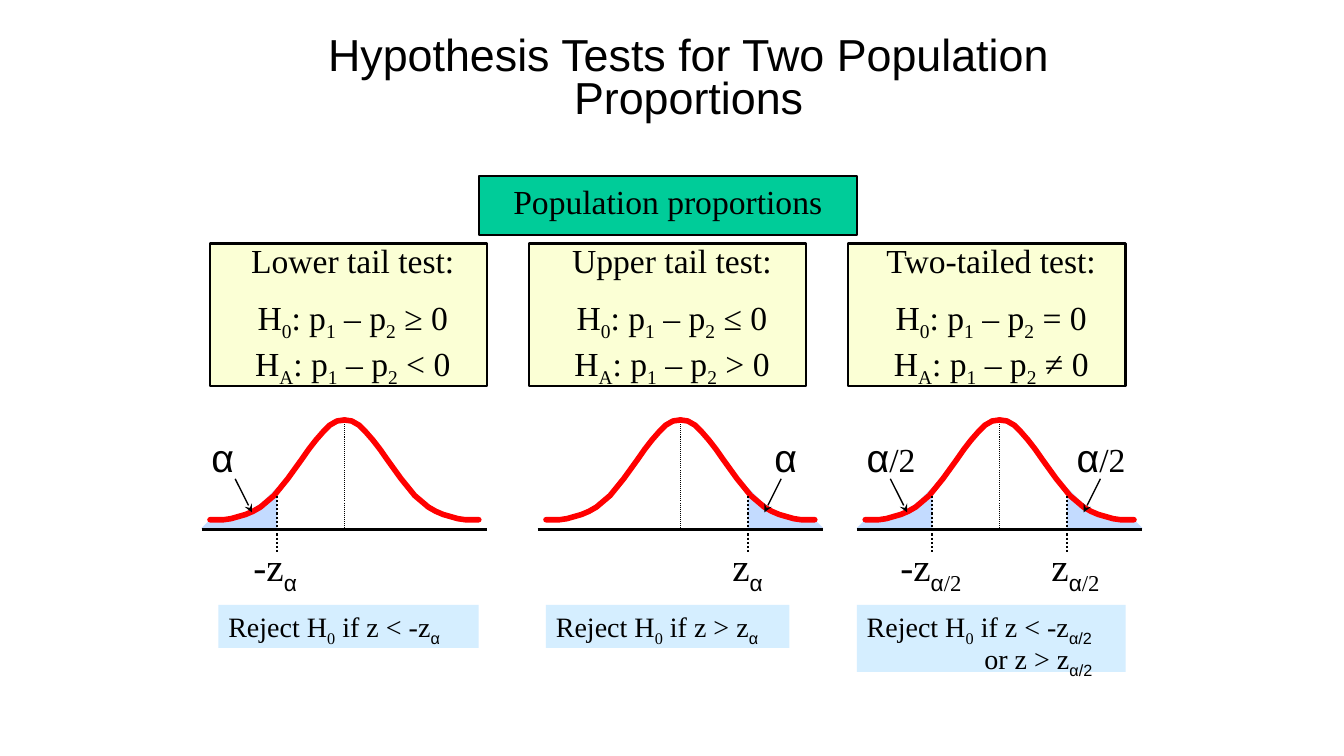
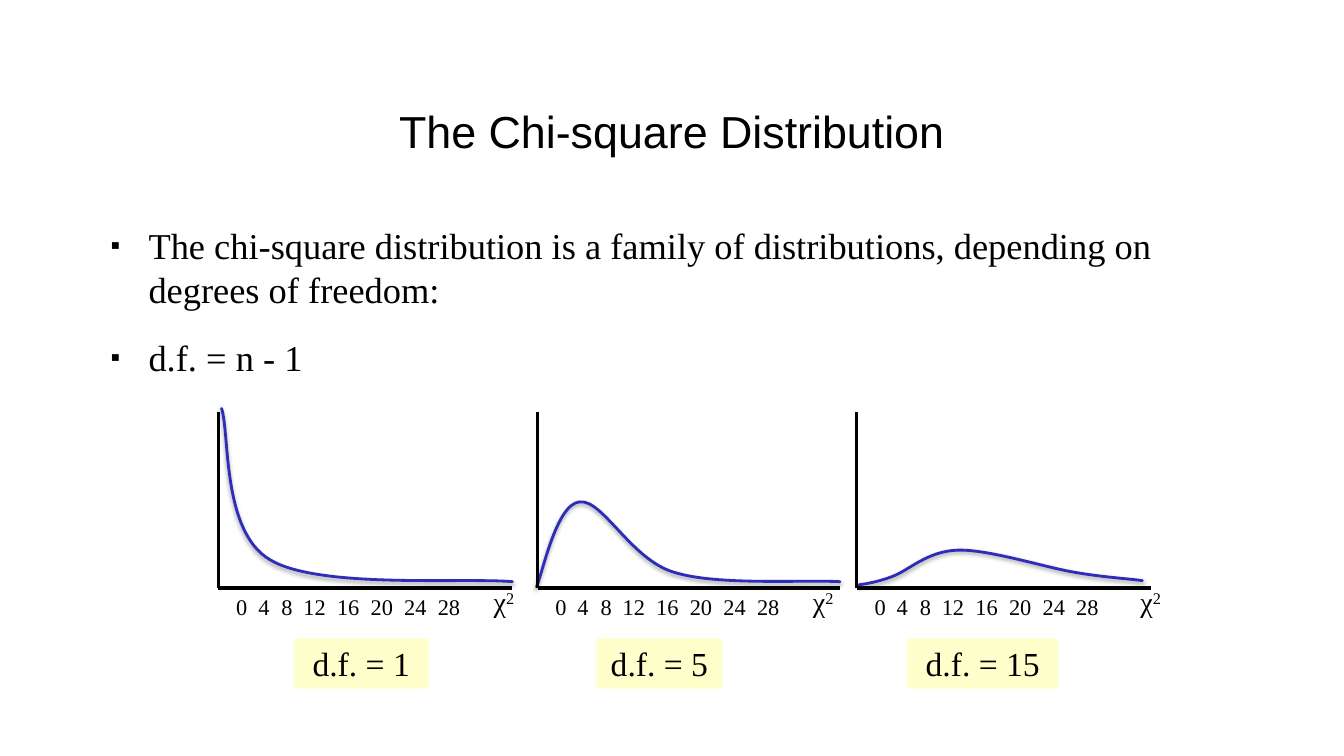
from dataclasses import dataclass

from lxml.etree import SubElement
from pptx import Presentation
from pptx.dml.color import RGBColor
from pptx.enum.dml import MSO_LINE
from pptx.enum.shapes import MSO_CONNECTOR, MSO_SHAPE
from pptx.enum.text import MSO_ANCHOR, PP_ALIGN
from pptx.oxml.ns import qn
from pptx.util import Pt

SCALE = 9525  # EMU in one px
WIDE, HIGH = 1280, 720


@dataclass(frozen=True)
class Theme:
    ink: str = "000000"
    green: str = "00CC99"
    cream: str = "FBFFD5"
    yellow: str = "FFFFCC"
    sky: str = "D5EEFF"
    tail: str = "C3DBFF"
    red: str = "FF0000"
    blue: str = "2D2DB9"
    sans: str = "Arial"
    serif: str = "Times New Roman"
    title: int = 32
    symbol: int = 28
    body: int = 26
    label: int = 24
    note: int = 20
    tick: int = 16


T = Theme()

# Bell outline: distance from the centre, depth below the peak
BELL = [(128, 95), (115, 95), (108, 94), (101, 92), (94, 90), (87, 87),
        (80, 83), (67, 72), (54, 56), (41, 38), (34, 28), (27, 19),
        (20, 11), (14, 5), (7, 1), (0, 0)]
TAIL = [(136, 103), (130, 97), (105, 92), (93, 88), (79, 79), (64, 64),
        (64, 104), (136, 104)]

# Test name, signs in H0 and HA, tail sides, suffix of alpha
TESTS = [("Lower tail test:", "≥", "<", [-1], ""),
         ("Upper tail test:", "≤", ">", [1], ""),
         ("Two-tailed test:", "=", "≠", [-1, 1], "/2")]
CENTERS = [328, 648, 952]
RULES = [(208, 248, 41, ["Reject H|_0| if z < -z|_α"]),
         (520, 232, 41, ["Reject H|_0| if z > z|_α"]),
         (816, 256, 64, ["Reject H|_0| if z < -z|_α/2", "or z > z|_α/2"])]

# Left edge, axis length, place of the symbol, df box (offset, width), df, curve
PLOTS = [
    (208, 280, 248, (72, 128), 1,
     [(3, -171), (11, -147), (3, -54), (49, -27),
      (95, 1), (232, -10), (280, -6)]),
    (512, 288, 248, (56, 120), 5,
     [(-1, -1), (5, -15), (18, -80), (40, -82), (62, -85), (89, -27),
      (130, -15), (171, -2), (255, -8), (288, -6)]),
    (816, 280, 256, (48, 144), 15,
     [(2, -3), (8, -4), (18, -5), (34, -11), (50, -17), (67, -35), (96, -36),
      (125, -37), (178, -20), (207, -15), (236, -10), (258, -9), (272, -7)]),
]
TICKS = [0, 4, 8, 12, 16, 20, 24, 28]
STOPS = [21, 43, 64, 96, 128, 160, 192]


def px(*nums):
    return [round(n * SCALE) for n in nums]


def paint(shape, fill=None, line=None, width=1.5):
    shape.shadow.inherit = False
    if fill:
        shape.fill.solid()
        shape.fill.fore_color.rgb = RGBColor.from_string(fill)
    else:
        shape.fill.background()
    if line:
        shape.line.color.rgb = RGBColor.from_string(line)
        shape.line.width = Pt(width)
    else:
        shape.line.fill.background()


def write(shape, lines, size, font=T.serif, align=PP_ALIGN.LEFT,
          anchor=MSO_ANCHOR.TOP):
    """Split each line at |; a piece led by _ is lowered, by ^ raised."""
    frame = shape.text_frame
    frame.word_wrap = True
    frame.vertical_anchor = anchor
    for i, line in enumerate(lines):
        para = frame.add_paragraph() if i else frame.paragraphs[0]
        para.alignment = align
        for piece in line.split("|"):
            run = para.add_run()
            run.text = piece.lstrip("_^")
            run.font.size = Pt(size)
            run.font.name = T.sans if "α" in piece else font
            run.font.color.rgb = RGBColor.from_string(T.ink)
            shift = {"_": "-25000", "^": "30000"}.get(piece[0])
            if shift:
                run._r.get_or_add_rPr().set("baseline", shift)
    return frame.paragraphs


def text(slide, box, lines, size, **style):
    return write(slide.shapes.add_textbox(*px(*box)), lines, size, **style)


def rect(slide, box, fill, line=None):
    shape = slide.shapes.add_shape(MSO_SHAPE.RECTANGLE, *px(*box))
    paint(shape, fill, line)
    return shape


def rule(slide, start, end, width, dots=False, arrow=False):
    line = slide.shapes.add_connector(MSO_CONNECTOR.STRAIGHT,
                                      *px(*start, *end))
    line.line.color.rgb = RGBColor.from_string(T.ink)
    line.line.width = Pt(width)
    if dots:
        line.line.dash_style = MSO_LINE.ROUND_DOT
    if arrow:
        SubElement(line.line._get_or_add_ln(), qn("a:tailEnd"), type="stealth")
    SubElement(line._element.spPr, qn("a:effectLst"))


def trace(slide, x, y, points, closed=False, **look):
    spots = [px(x + dx, y + dy) for dx, dy in points]
    pen = slide.shapes.build_freeform(*spots[0], scale=1.0)
    pen.add_line_segments(spots[1:], close=closed)
    shape = pen.convert_to_shape()
    paint(shape, **look)
    if not closed:
        ln = shape.line._get_or_add_ln()
        ln.set("cap", "rnd")
        SubElement(ln, qn("a:round"))
    return shape


def bend(shape):
    """Turn every three line segments into one cubic curve."""
    lines = list(shape._element.iter(qn("a:lnTo")))
    for i in range(0, len(lines), 3):
        cubic = SubElement(lines[i].getparent(), qn("a:cubicBezTo"))
        for line in lines[i:i + 3]:
            cubic.append(line[0])
            line.getparent().remove(line)
    return shape


def title(slide, box, words):
    return text(slide, box, [words], T.title, font=T.sans,
                align=PP_ALIGN.CENTER, anchor=MSO_ANCHOR.MIDDLE)[0]


def claim(slide, x, y, name, null, other):
    """Box with the two hypotheses of a test."""
    rect(slide, (x, y, 264, 136), T.cream, T.ink)
    lines = [name] + [f"H|_{sub}|: p|_1| – p|_2| {sign} 0"
                      for sub, sign in (("0", null), ("A", other))]
    paras = text(slide, (x - 8, y - 8, 288, 142), lines, T.label,
                 align=PP_ALIGN.CENTER)
    paras[1].space_before = Pt(11.5)


def bell(slide, x, y, sides, half):
    """Normal curve whose peak is at x, y."""
    rule(slide, (x, y), (x, y + 104), 0.75, dots=True)
    for side in sides:
        trace(slide, x, y, [(side * d, h) for d, h in TAIL], closed=True,
              fill=T.tail)
    for side in (-1, 1):
        trace(slide, x, y, [(side * d, h) for d, h in BELL], line=T.red,
              width=4)
    rule(slide, (x - 136, y + 104), (x + 136, y + 104), 2)
    for side in sides:
        mark(slide, x, y, side, half)


def mark(slide, x, y, side, half):
    """Alpha, arrow, cut line and critical value of one tail."""
    wide = 88 if half else 40
    if side < 0:
        near, crit, sign = x - 136, x - (104 if half else 96), "-"
        tip = x - 88
    else:
        near, crit, sign = x + (64 if half else 80), x + 40, ""
        tip = x + 80
    alpha = text(slide, (near, y + 8, wide, 54),
                 ["α" + (f"|{half}" if half else "")], T.symbol)
    for run in alpha[0].runs[1:]:
        run.font.size = Pt(T.label)
    rule(slide, (tip + side * 16, y + 56), (tip, y + 88), 1, arrow=True)
    cut = x + side * 64
    rule(slide, (cut, y + 72), (cut, y + 128), 1.5, dots=True)
    text(slide, (crit, y + 112, 104, 54),
         [f"{sign}z|_α" + (f"|_{half}" if half else "")], T.symbol)


def verdict(slide, box, lines):
    """Decision rule on a pale band."""
    paras = write(rect(slide, box, T.sky), lines, T.note)
    for para in paras[1:]:
        para.line_spacing = 0.71
        para._p.get_or_add_pPr().set("marL", str(px(112)[0]))


def tests(slide):
    title(slide, (224, 24, 864, 104),
          "Hypothesis Tests for Two Population Proportions").line_spacing = 0.8
    rect(slide, (456, 168, 360, 56), T.green, T.ink)
    text(slide, (456, 168, 360, 48), ["Population proportions"], T.label,
         align=PP_ALIGN.CENTER)
    for i, (name, null, other, sides, half) in enumerate(TESTS):
        claim(slide, 200 + 304 * i, 232, name, null, other)
        bell(slide, CENTERS[i], 400, sides, half)
        left, wide, high, lines = RULES[i]
        verdict(slide, (left, 576, wide, high), lines)


def bullets(slide, box, lines):
    paras = text(slide, box, lines, T.body)
    for i, para in enumerate(paras):
        props = para._p.get_or_add_pPr()
        props.set("marL", str(px(36)[0]))
        props.set("indent", str(px(-39)[0]))
        SubElement(props, qn("a:buSzPct"), val="75000")
        SubElement(props, qn("a:buFont"), typeface=T.sans)
        SubElement(props, qn("a:buChar"), char="▪")
        para.space_after = Pt(6)
        if i:
            para.space_before = Pt(6)
            para.line_spacing = 1.17


def scale(slide, x, y):
    """Tick numbers set on tab stops."""
    box = slide.shapes.add_textbox(*px(x, y, 230, 36))
    box.text_frame.margin_left = box.text_frame.margin_right = 0
    para = write(box, ["\t".join(map(str, TICKS))], T.tick)[0]
    tabs = SubElement(para._p.get_or_add_pPr(), qn("a:tabLst"))
    for stop in STOPS:
        SubElement(tabs, qn("a:tab"), pos=str(px(stop)[0]), algn="l")


def shade(shape):
    """Soft shadow below a curve."""
    glow = shape._element.spPr.find(qn("a:effectLst"))
    drop = SubElement(glow, qn("a:outerShdw"), blurRad=str(Pt(3.1)),
                      dist=str(Pt(1.6)), dir="5400000", rotWithShape="0")
    tint = SubElement(drop, qn("a:srgbClr"), val=T.ink)
    SubElement(tint, qn("a:alpha"), val="38000")


def plot(slide, x, y, wide, sign, tag, df, knots):
    """Chi-square curve with its axes meeting at x, y."""
    scale(slide, x + 17, y)
    shade(bend(trace(slide, x, y, knots, line=T.blue, width=2)))
    rule(slide, (x, y), (x + wide, y), 2.25)
    rule(slide, (x, y), (x, y - 168), 2.25)
    text(slide, (x + sign, y - 8, 48, 41), ["χ|^2"], T.note,
         align=PP_ALIGN.CENTER)
    write(rect(slide, (x + tag[0], y + 48, tag[1], 48), T.yellow),
          [f"d.f. = {df}"], T.label, align=PP_ALIGN.CENTER)


def chi(slide):
    title(slide, (96, 64, 1088, 120), "The Chi-square Distribution")
    bullets(slide, (96, 208, 1088, 432),
            ["The chi-square distribution is a family of distributions, "
             "depending on degrees of freedom:", "d.f. = n - 1"])
    for left, *rest in PLOTS:
        plot(slide, left, 560, *rest)


def main():
    deck = Presentation()
    deck.slide_width, deck.slide_height = px(WIDE, HIGH)
    for build in (tests, chi):
        build(deck.slides.add_slide(deck.slide_layouts[6]))
    deck.save("out.pptx")


if __name__ == "__main__":
    main()
